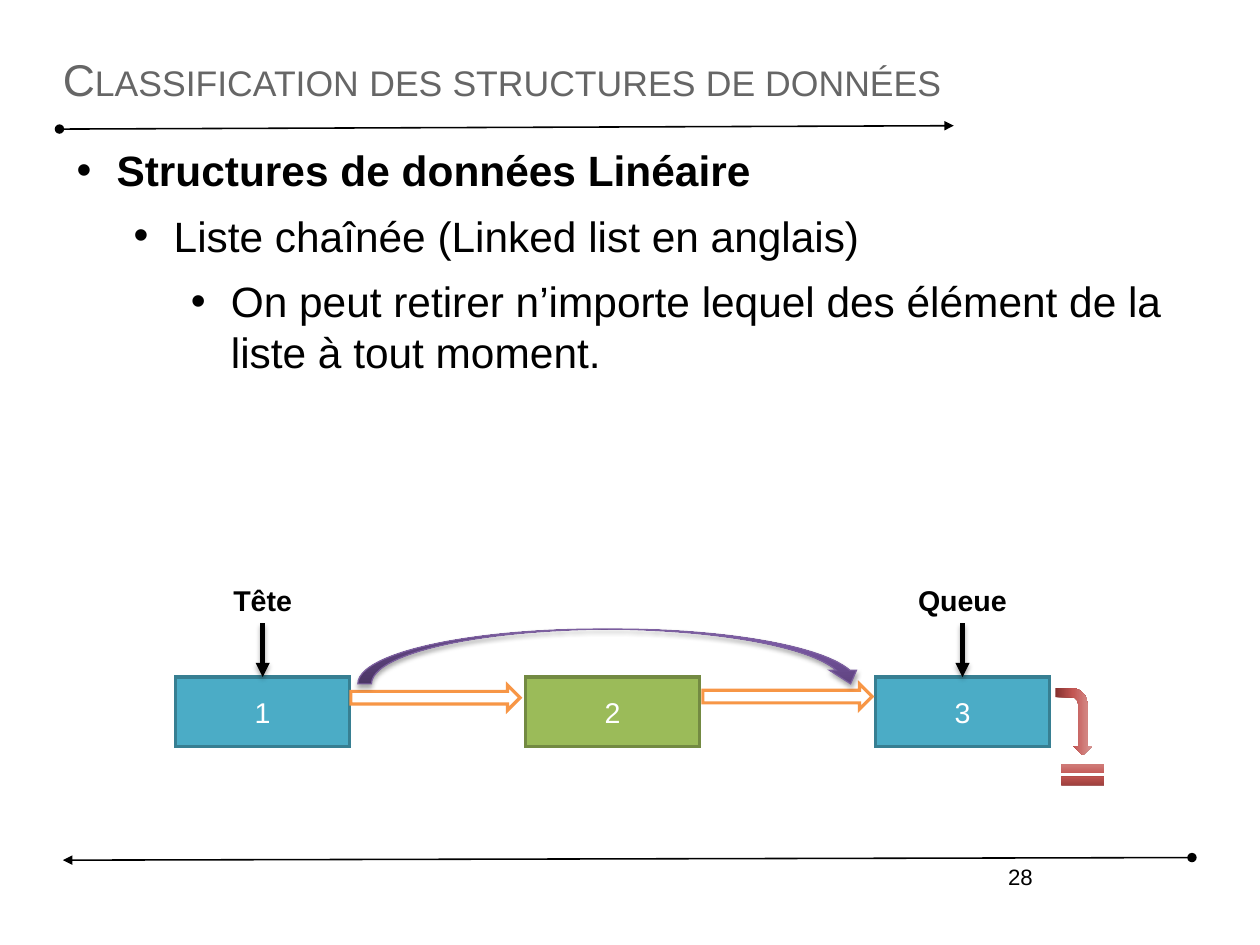
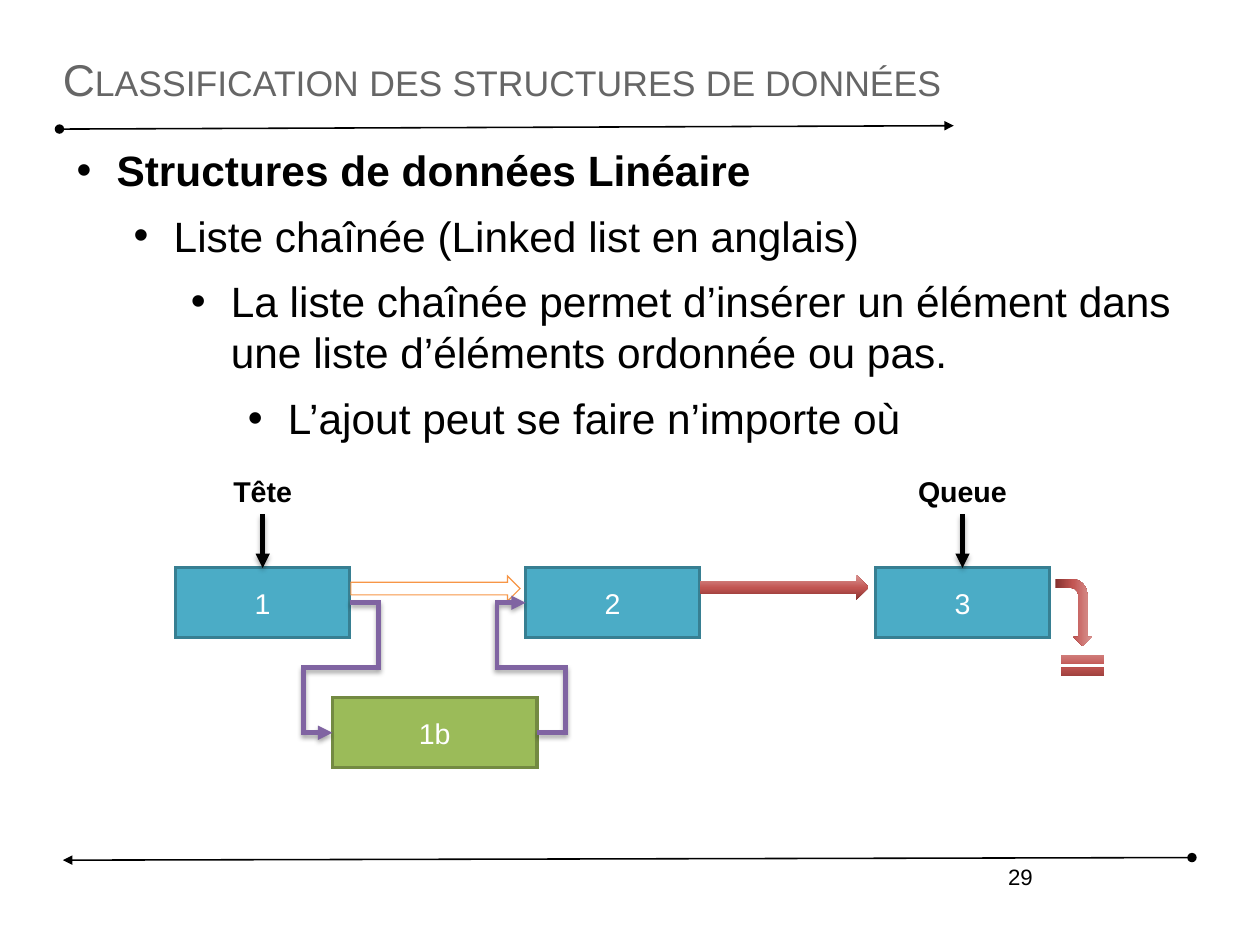
from dataclasses import dataclass
from typing import Any

from lxml import etree
from pptx import Presentation
from pptx.dml.color import RGBColor
from pptx.enum.shapes import MSO_CONNECTOR, MSO_SHAPE
from pptx.enum.text import MSO_ANCHOR, MSO_AUTO_SIZE, PP_ALIGN
from pptx.oxml.ns import qn
from pptx.util import Cm, Inches, Pt

STRAIGHT, ELBOW = MSO_CONNECTOR.STRAIGHT, MSO_CONNECTOR.ELBOW
RECT, ARROW = MSO_SHAPE.RECTANGLE, MSO_SHAPE.RIGHT_ARROW
BENT, EQUAL = MSO_SHAPE.BENT_ARROW, MSO_SHAPE.MATH_EQUAL
CURVE = MSO_SHAPE.CURVED_DOWN_ARROW
LEFT, MID, RIGHT = PP_ALIGN.LEFT, PP_ALIGN.CENTER, PP_ALIGN.RIGHT
TOP, CENTER = MSO_ANCHOR.TOP, MSO_ANCHOR.MIDDLE
FIXED = MSO_AUTO_SIZE.NONE

# The slide is a grid of 100 columns by 100 rows
WIDE, HIGH = Cm(28), Cm(21)
FONT = "Arial"
HEX = {
    "black": "000000", "white": "FFFFFF", "gray": "666666",
    "teal": "4BACC6", "teal rim": "377F92",
    "green": "9BBB59", "green rim": "738A42",
    "orange": "F79646", "purple": "8064A2", "violet": "7D60A0",
}
FADES = {
    "red": [(0, "85312F"), (48, "C25552"), (100, "D99694")],
    "plum": [(0, "5F4480"), (80, "7B58A6"), (100, "7C57A8")],
}
TITLE = "Classification des structures de données"

# Columns and rows of the linked list
FIRST, STEP, NODE_W, NODE_H = 13.95, 27.77, 13.8, 7.38
LINK_W, LINK_H = 13.43, 2.66
LABEL_W, LABEL_H = 10, 4.84
STUB = 2.27


@dataclass
class Box:
    x: float
    y: float
    w: float
    h: float


@dataclass
class Link:
    gap: float
    down: float
    fill: str | None
    line: str | None
    width: float = 0


@dataclass
class Page:
    number: int
    points: list[str]
    row: float
    nodes: list[str]
    links: list[Link]


PAGES = [
    Page(28, ["On peut retirer n’importe lequel des élément de la liste à tout moment."],
         71.65, ["teal", "green", "teal"],
         [Link(0.1, 0.85, "white", "orange", 2), Link(0.27, 0.73, "white", "orange", 2)]),
    Page(29, ["La liste chaînée permet d’insérer un élément dans une liste d’éléments "
              "ordonnée ou pas.", "L’ajout peut se faire n’importe où"],
         60.1, ["teal", "teal", "teal"],
         [Link(0.1, 0.85, None, "orange", 0.75), Link(0, 0.73, "red", None)]),
]


def col(x: float) -> int:
    return round(x * WIDE / 100)


def row(y: float) -> int:
    return round(y * HIGH / 100)


def place(box: Box) -> tuple[int, int, int, int]:
    return col(box.x), row(box.y), col(box.w), row(box.h)


def tint(name: str) -> RGBColor:
    return RGBColor.from_string(HEX[name])


def child(parent: Any, tag: str, **attrs: Any) -> Any:
    return etree.SubElement(parent, qn(tag), {k: str(v) for k, v in attrs.items()})


def write(frame: Any, text: str, *, size: float = 18, color: str = "black",
          bold: bool = False, align: Any = MID, anchor: Any = TOP,
          inset: tuple[float, float] = (0.1, 0.05), more: bool = False) -> Any:
    """Put one paragraph in a frame and return it."""
    frame.word_wrap, frame.auto_size = True, FIXED
    frame.vertical_anchor = anchor
    frame.margin_left = frame.margin_right = Inches(inset[0])
    frame.margin_top = frame.margin_bottom = Inches(inset[1])
    para = frame.add_paragraph() if more else frame.paragraphs[0]
    para.alignment = align
    run = para.add_run()
    run.text = text
    run.font.name, run.font.size, run.font.bold = FONT, Pt(size), bold
    run.font.color.rgb = tint(color)
    return para


def shade(props: Any) -> None:
    """Give a soft shadow below the shape."""
    old = props.find(qn("a:effectLst"))
    effects = child(props, "a:effectLst") if old is None else old
    cast = child(effects, "a:outerShdw", blurRad=Pt(3.1), dist=Pt(1.8),
                 dir=5400000, rotWithShape=0)
    child(child(cast, "a:srgbClr", val=HEX["black"]), "a:alpha", val=35000)


def paint(fill: Any, name: str | None, props: Any) -> None:
    if name in FADES:
        fill.gradient()
        fill.gradient_angle = 90
        stops = props.find(qn("a:gradFill")).find(qn("a:gsLst"))
        for old in list(stops):
            stops.remove(old)
        for pos, value in FADES[name]:
            child(child(stops, "a:gs", pos=pos * 1000), "a:srgbClr", val=value)
    elif name:
        fill.solid()
        fill.fore_color.rgb = tint(name)
    else:
        fill.background()


def draw(slide: Any, kind: Any, box: Box, fill: str | None,
         line: str | None = None, width: float = 0) -> Any:
    shape = slide.shapes.add_shape(kind, *place(box))
    shape.shadow.inherit = False
    props = shape._element.spPr
    paint(shape.fill, fill, props)
    if line:
        shape.line.color.rgb = tint(line)
        shape.line.width = Pt(width)
        child(props.find(qn("a:ln")), "a:miter", lim=800000)
    else:
        shape.line.fill.background()
    return shape


def join(slide: Any, start: tuple[float, float], end: tuple[float, float], *,
         color: str = "black", width: float = 3, kind: Any = STRAIGHT,
         head: str = "none", soft: bool = True) -> Any:
    wire = slide.shapes.add_connector(kind, col(start[0]), row(start[1]),
                                      col(end[0]), row(end[1]))
    wire.line.color.rgb = tint(color)
    wire.line.width = Pt(width)
    props = wire._element.spPr
    stroke = props.find(qn("a:ln"))
    child(stroke, "a:miter", lim=800000)
    child(stroke, "a:headEnd", type=head)
    child(stroke, "a:tailEnd", type="triangle")
    if soft:
        shade(props)
    else:
        child(props, "a:effectLst")
    return wire


def label(slide: Any, text: str, box: Box, **style: Any) -> None:
    write(slide.shapes.add_textbox(*place(box)).text_frame, text, **style)


def base(slide: Any, number: int) -> None:
    """Title, rules and page number."""
    title = slide.shapes.title
    title.left, title.top, title.width, title.height = place(Box(4.99, 4, 90, 8.7))
    para = write(title.text_frame, TITLE, size=28, color="gray", align=LEFT,
                 anchor=CENTER, inset=(0, 0))
    para.runs[0].font._element.set("cap", "small")
    for start, end in [((4.72, 13.66), (75.7, 13.3)), ((94.6, 90.75), (4.99, 91.02))]:
        join(slide, start, end, width=1, head="oval", soft=False)
    label(slide, str(number), Box(59.55, 90.75, 23.32, 6.9), size=14, align=RIGHT)


def bullets(slide: Any, points: list[str]) -> None:
    """Each point sits one level below the one before."""
    frame = draw(slide, RECT, Box(4.99, 15.24, 88.2, 74.1), "white").text_frame
    lines = ["Structures de données Linéaire", "Liste chaînée (Linked list en anglais)"]
    for level, text in enumerate(lines + points):
        para = write(frame, text, size=26.7, bold=level == 0, align=LEFT,
                     inset=(0, 0), more=level > 0)
        para.level, para.line_spacing, para.space_before = level, 1.0, Pt(9.4)
        props = para._p.get_or_add_pPr()
        props.set("marL", str(Inches(0.47 + level / 2)))
        props.set("indent", str(Inches(-0.35)))
        child(props, "a:buFont", typeface=FONT)
        child(props, "a:buChar", char="•")


def node(slide: Any, text: str, box: Box, color: str) -> Any:
    shape = draw(slide, RECT, box, color, color + " rim", 2)
    write(shape.text_frame, text, color="white", anchor=CENTER)
    return shape


def chain(slide: Any, page: Page) -> list[Any]:
    """Nodes, links, end mark and the two pointers."""
    top = page.row
    lefts = [FIRST + i * STEP for i in range(len(page.nodes))]
    nodes = [node(slide, str(i + 1), Box(x, top, NODE_W, NODE_H), color)
             for i, (x, color) in enumerate(zip(lefts, page.nodes))]
    for x, link in zip(lefts, page.links):
        draw(slide, ARROW, Box(x + NODE_W + link.gap, top + link.down, LINK_W, LINK_H),
             link.fill, link.line, link.width)
    draw(slide, EQUAL, Box(83.63, top + 8.46, 4.63, 3.75), "red")
    draw(slide, BENT, Box(82.53, top + 2.78, 5.35, 3.87), "red").rotation = 90
    for text, x in (("Tête", lefts[0]), ("Queue", lefts[-1])):
        mid = x + NODE_W / 2
        label(slide, text, Box(mid - LABEL_W / 2, top - 10.55, LABEL_W, LABEL_H), bold=True)
        join(slide, (mid, top - 5.7), (mid, top))
    return nodes


def skip(slide: Any, top: float) -> None:
    """Curved arrow over the removed node."""
    arc = draw(slide, CURVE, Box(28.4, top - 5.08, 40.2, 5.8), "plum", "violet", 0.75)
    shade(arc._element.spPr)


def detour(slide: Any, start: Any, end: Any) -> None:
    """Elbow from the right side of one node to the left side of another."""
    wire = join(slide, (0, 0), (1, 1), color="purple", kind=ELBOW)
    wire.begin_x, wire.begin_y = start.left + start.width, start.top + start.height // 2
    wire.end_x, wire.end_y = end.left, end.top + end.height // 2
    wire.begin_connect(start, 3)
    wire.end_connect(end, 1)
    bend = round(col(STUB) / wire.width * 100000)
    shape = wire._element.spPr.find(qn("a:prstGeom"))
    shape.set("prst", "bentConnector5")
    for old in list(shape):
        shape.remove(old)
    guides = child(shape, "a:avLst")
    for i, value in enumerate((-bend, 50000, 100000 + bend), 1):
        child(guides, "a:gd", name=f"adj{i}", fmla=f"val {value}")


def main() -> None:
    deck = Presentation()
    deck.slide_width, deck.slide_height = WIDE, HIGH
    # The template's 4:3 preset no longer applies
    deck.element.find(qn("p:sldSz")).attrib.pop("type", None)
    for page in PAGES:
        slide = deck.slides.add_slide(deck.slide_layouts[5])
        base(slide, page.number)
        bullets(slide, page.points)
        nodes = chain(slide, page)
        if "green" in page.nodes:
            skip(slide, page.row)
        else:
            extra = node(slide, "1b", Box(26.38, page.row + 13.75, 16.24, NODE_H), "green")
            detour(slide, extra, nodes[1])
            detour(slide, nodes[0], extra)
    deck.save("out.pptx")


if __name__ == "__main__":
    main()
